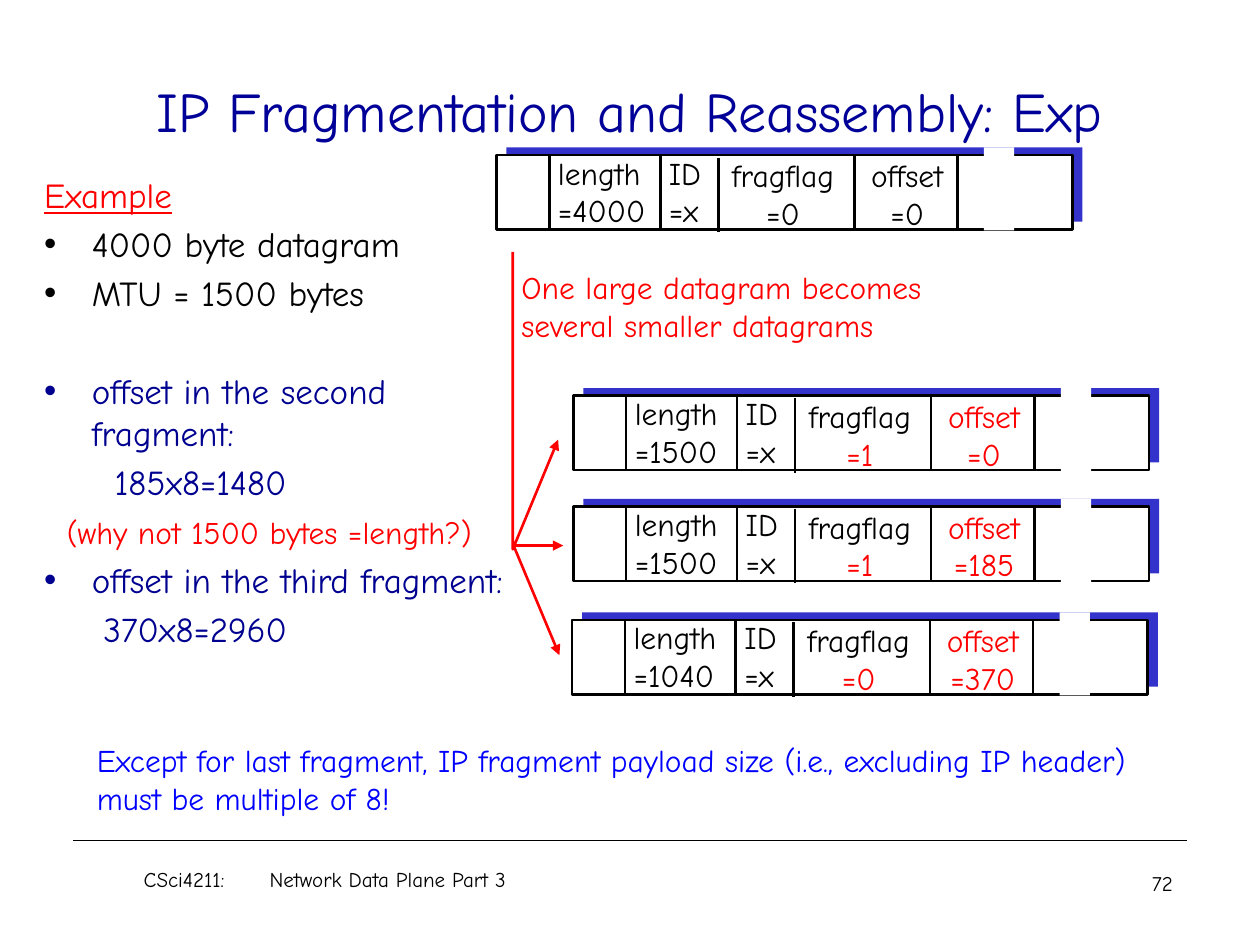
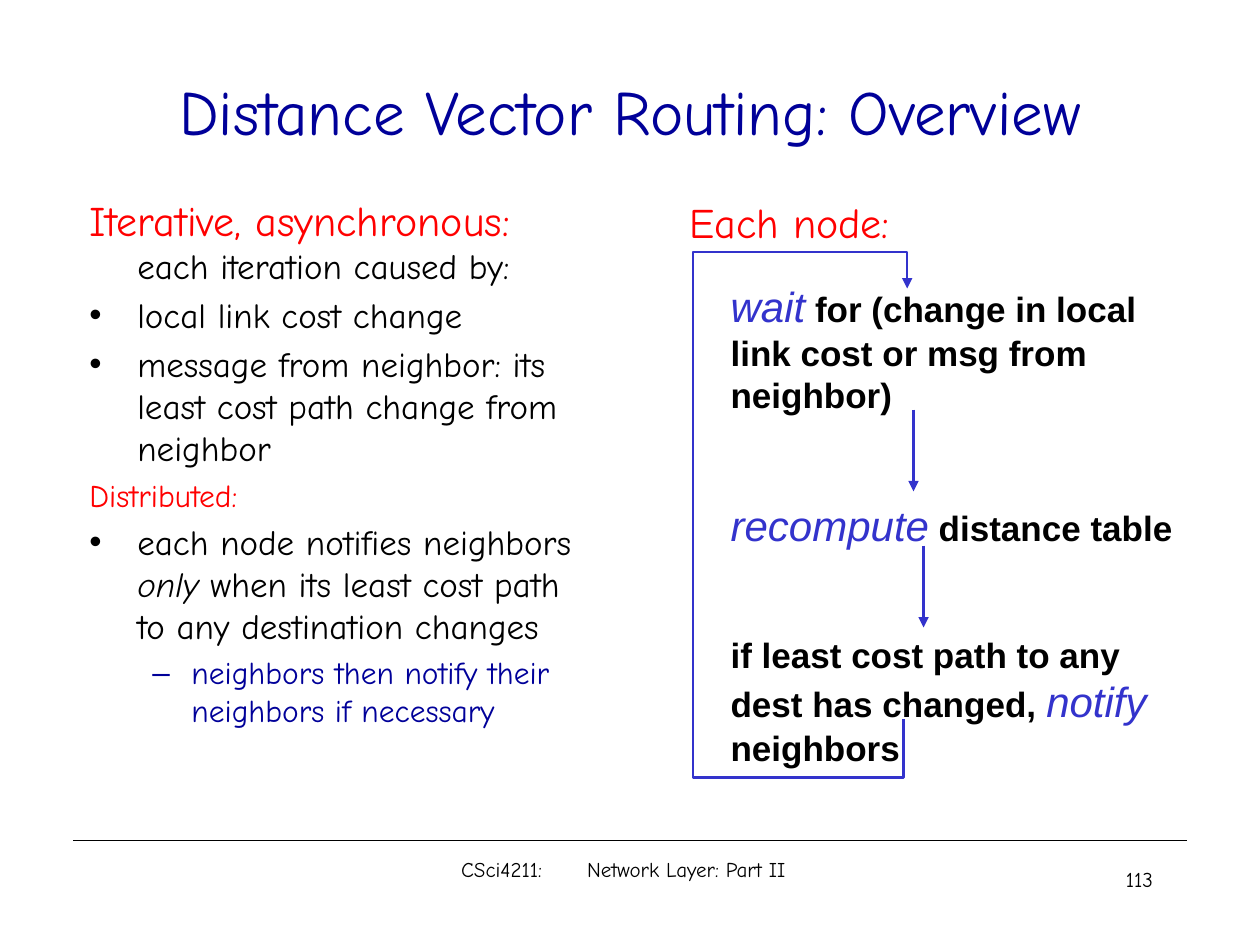
"""Build two networking slides: IP fragmentation and distance vector routing."""
from lxml.etree import SubElement
from pptx import Presentation
from pptx.dml.color import RGBColor
from pptx.enum.shapes import MSO_CONNECTOR, MSO_SHAPE
from pptx.enum.text import MSO_ANCHOR, MSO_AUTO_SIZE, PP_ALIGN
from pptx.oxml.ns import qn
from pptx.util import Inches, Pt

COLORS = {"title": "000099", "list": "000090", "black": "000000", "white": "FFFFFF",
          "red": "FF0000", "note": "0000FF", "accent": "3333CC"}
HAND = "Comic Neue"
CENTER = {"alignment": PP_ALIGN.CENTER}
RIGHT = {"alignment": PP_ALIGN.RIGHT}


def write(box, place, paras, base, **frame_format):
    """Place a text box and fill it with (paragraph format, spans) pairs."""
    for name, value in zip(("left", "top", "width", "height"), place):
        setattr(box, name, Inches(value))
    frame = box.text_frame
    frame_values = {"word_wrap": True, "auto_size": MSO_AUTO_SIZE.NONE, **frame_format}
    for name, value in frame_values.items():
        setattr(frame, name, value)
    for index, (layout, spans) in enumerate(paras):
        para = frame.add_paragraph() if index else frame.paragraphs[0]
        values = {"space_before": Pt(0), **layout}
        props = para._p.get_or_add_pPr()
        margin, indent = values.pop("margins", (0, 0))
        props.set("marL", str(Inches(margin)))
        props.set("indent", str(Inches(indent)))
        bullet = values.pop("bullet", None)
        if bullet:
            SubElement(props, qn("a:buChar"), char=bullet)
        else:
            SubElement(props, qn("a:buNone"))
        if "tab" in values:
            tabs = SubElement(props, qn("a:tabLst"))
            SubElement(tabs, qn("a:tab"), pos=str(Inches(values.pop("tab"))), algn="l")
        for name, value in values.items():
            setattr(para, name, value)
        for text, style in spans:
            span = para.add_run()
            span.text = text
            font_values = {"name": HAND, "color": "black", **base, **style}
            span.font.color.rgb = RGBColor.from_string(COLORS[font_values.pop("color")])
            for name, value in font_values.items():
                setattr(span.font, name, value)


def draw_line(page, points, color, width=1.5, arrow=False):
    """Draw a straight connector or an open path through the points."""
    spots = [(Inches(x), Inches(y)) for x, y in points]
    if len(spots) == 2:
        line = page.shapes.add_connector(MSO_CONNECTOR.STRAIGHT, *spots[0], *spots[1])
        SubElement(line._element.spPr, qn("a:effectLst"))
    else:
        builder = page.shapes.build_freeform(*spots[0])
        builder.add_line_segments(spots[1:], close=False)
        line = builder.convert_to_shape()
        line.fill.background()
        line.shadow.inherit = False
    line.line.color.rgb = RGBColor.from_string(COLORS[color])
    line.line.width = Pt(width)
    if arrow:
        SubElement(line.line._get_or_add_ln(), qn("a:tailEnd"), type="triangle")
    return line


deck = Presentation()
deck.slide_width, deck.slide_height = Inches(10), Inches(7.5)

headers = [
    {"title": "IP Fragmentation and Reassembly: Exp", "size": 32,
     "footer": "CSci4211:\tNetwork Data Plane Part 3", "footer_at": (0.75, 6.83, 3.92, 0.33),
     "footer_inset": 0.39, "tab": 1.26,
     "number": "72", "number_at": (8.6, 6.86, 1.25, 0.5), "number_format": CENTER},
    {"title": "Distance Vector Routing: Overview", "size": 36,
     "footer": "CSci4211:\tNetwork Layer: Part II", "footer_at": (2.58, 6.75, 4, 0.5),
     "footer_inset": 1.08, "tab": 1.14,
     "number": "113", "number_at": (8.42, 6.83, 0.83, 0.5), "number_format": RIGHT},
]
pages = []
small = {"size": Pt(12)}
for header in headers:
    page = deck.slides.add_slide(deck.slide_layouts[1])
    pages.append(page)
    write(page.shapes.title, (0.75, 0.25, 8.5, 1.25), [(CENTER, [(header["title"], {})])],
          {"size": Pt(header["size"]), "color": "title"}, vertical_anchor=MSO_ANCHOR.MIDDLE)
    write(page.shapes.add_textbox(0, 0, 0, 0), header["footer_at"],
          [({"tab": header["tab"]}, [(header["footer"], {})])], small,
          margin_left=Inches(header["footer_inset"]))
    write(page.shapes.add_textbox(0, 0, 0, 0), header["number_at"],
          [(header["number_format"], [(header["number"], {})])], small)
fragment_page, routing_page = pages

footer_rule = draw_line(fragment_page, [(0.58, 6.67), (9.42, 6.67)], "black", 0.75)
deck.slide_master.shapes._spTree.append(footer_rule._element)

hanging = {"margins": (0.38, -0.38)}
item = {**hanging, "bullet": "•", "space_before": Pt(4)}
blue = {"color": "list"}
write(fragment_page.placeholders[1], (0.25, 1.33, 3.89, 4.53), [
    (hanging, [("Example", {"color": "red", "underline": True})]),
    (item, [("4000 byte datagram", {})]),
    (item, [("MTU = 1500 bytes", {})]),
    ({**item, "space_before": Pt(32)}, [("offset in the second fragment:", blue)]),
    ({"margins": (0.56, 0), "space_before": Pt(4)}, [("185x8=1480", blue)]),
    ({"margins": (0.18, 0), "space_before": Pt(6)},
     [("(why not 1500 bytes =length?)", {"color": "red", "size": Pt(18)})]),
    (item, [("offset in the third fragment:", blue)]),
    ({"margins": (0.47, 0), "space_before": Pt(4)}, [("370x8=2960", blue)]),
], {"size": Pt(20)})

datagrams = [
    (3.94, 1.23, "=4000", "=0", "=0", "black"),
    (4.55, 3.14, "=1500", "=1", "=0", "red"),
    (4.55, 4.02, "=1500", "=1", "=185", "red"),
    (4.54, 4.92, "=1040", "=0", "=370", "red"),
]
for left, top, length, flag, offset, mark in datagrams:
    blocks = [(0.08, -0.06, 4.57, 0.59, "accent", False),
              (0, 0, 4.57, 0.59, "white", True),
              (3.87, -0.06, 0.24, 0.66, "white", False)]
    for dx, dy, width, height, color, outlined in blocks:
        block = fragment_page.shapes.add_shape(
            MSO_SHAPE.RECTANGLE, Inches(left + dx), Inches(top + dy), Inches(width), Inches(height))
        block.shadow.inherit = False
        block.fill.solid()
        block.fill.fore_color.rgb = RGBColor.from_string(COLORS[color])
        if outlined:
            block.line.color.rgb = RGBColor.from_string(COLORS["black"])
            block.line.width = Pt(1.5)
        else:
            block.line.fill.background()
    fields = [(0.39, -0.06, 0.94, "length", length, "black", "black", {}),
              (1.27, -0.06, 0.52, "ID", "=x", "black", "black", {}),
              (1.69, -0.04, 1.17, "fragflag", flag, "black", mark, CENTER),
              (2.78, -0.04, 0.96, "offset", offset, mark, mark, CENTER)]
    for dx, dy, width, label, value, label_color, value_color, layout in fields:
        write(fragment_page.shapes.add_textbox(0, 0, 0, 0), (left + dx, top + dy, width, 0.7),
              [(layout, [(label, {"color": label_color})]),
               (layout, [(value, {"color": value_color})])],
              {"size": Pt(18)}, word_wrap=False)
    for dx, dy in [(0.42, 0), (1.3, 0), (1.76, 0.02), (2.84, 0), (3.66, 0)]:
        draw_line(fragment_page,
                  [(left + dx, top + dy), (left + dx, top + dy + 0.59)], "black")

split_paths = [[(4.07, 2), (4.07, 4.36), (4.43, 3.49)],
               [(4.07, 4.33), (4.47, 4.33)],
               [(4.08, 4.34), (4.44, 5.2)]]
for points in split_paths:
    draw_line(fragment_page, points, "red", arrow=True)
write(fragment_page.shapes.add_textbox(0, 0, 0, 0), (4.04, 2.08, 3.57, 0.7),
      [({}, [("One large datagram becomes", {})]), ({}, [("several smaller datagrams", {})])],
      {"size": Pt(18), "color": "red"}, word_wrap=False)
write(fragment_page.shapes.add_textbox(0, 0, 0, 0), (0.67, 5.83, 8.83, 0.8),
      [({}, [("Except for last fragment, IP fragment payload size (i.e., excluding IP header) "
              "must be multiple of 8!", {})])],
      {"size": Pt(18), "color": "note"})

write(routing_page.placeholders[1], (0.61, 1.49, 4.14, 5.08), [
    (hanging, [("Iterative, asynchronous: ", {"size": Pt(24), "color": "red"}),
               ("each iteration caused by:", {})]),
    (item, [("local link cost change", {})]),
    (item, [("message from neighbor: its least cost path change from neighbor", {})]),
    ({**hanging, "space_before": Pt(4)},
     [("Distributed:", {"size": Pt(18), "color": "red"})]),
    (item, [("each node notifies neighbors ", {}), ("only", {"italic": True}),
            (" when its least cost path to any destination changes", {})]),
    ({"level": 1, "margins": (0.81, -0.31), "bullet": "–", "space_before": Pt(4)},
     [("neighbors then notify their neighbors if necessary",
       {"size": Pt(18), "color": "title"})]),
], {"size": Pt(20)})

action = {"size": Pt(24), "color": "accent", "bold": False, "italic": True}
step = {"space_before": Pt(48)}
write(routing_page.shapes.add_textbox(0, 0, 0, 0), (5.7, 2.18, 3.85, 4.3), [
    ({}, [("wait", action), (" for (change in local link cost or msg from neighbor)", {})]),
    (step, [("recompute", action), (" distance table", {})]),
    (step, [("if least cost path to any dest has changed, ", {}), ("notify", action),
            (" neighbors", {})]),
], {"name": "Arial", "size": Pt(20), "bold": True})

loop_paths = [[(7.25, 3.25), (7.25, 3.9)],
              [(7.33, 4.33), (7.33, 4.98)],
              [(7.17, 5.71), (7.17, 6.17), (5.5, 6.17), (5.5, 2), (7.2, 2), (7.2, 2.29)]]
for points in loop_paths:
    draw_line(routing_page, points, "accent", arrow=True)
write(routing_page.shapes.add_textbox(0, 0, 0, 0), (5.33, 1.51, 1.87, 0.5),
      [(CENTER, [("Each node:", {})])], {"size": Pt(24), "color": "red"}, word_wrap=False)

deck.save("out.pptx")
